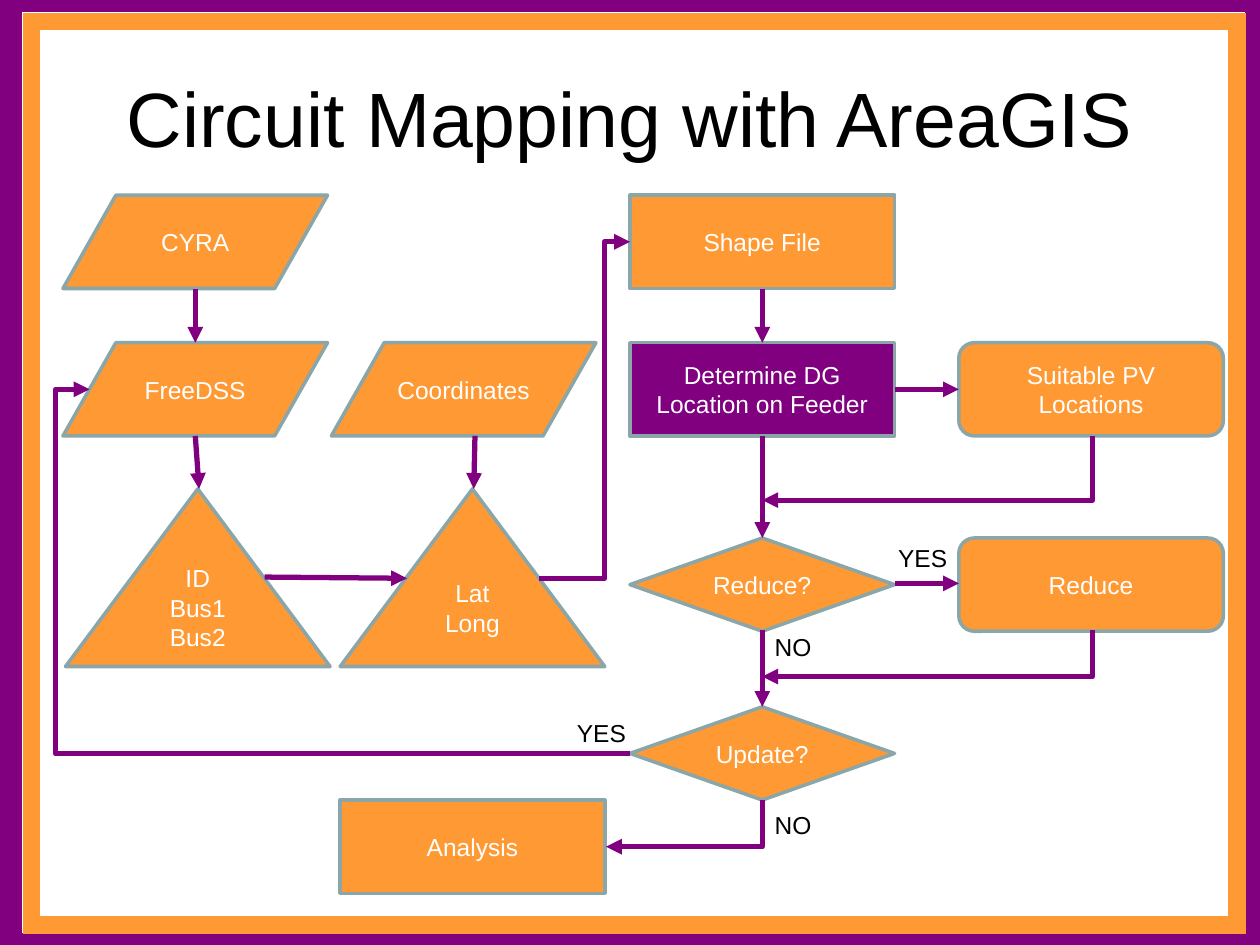
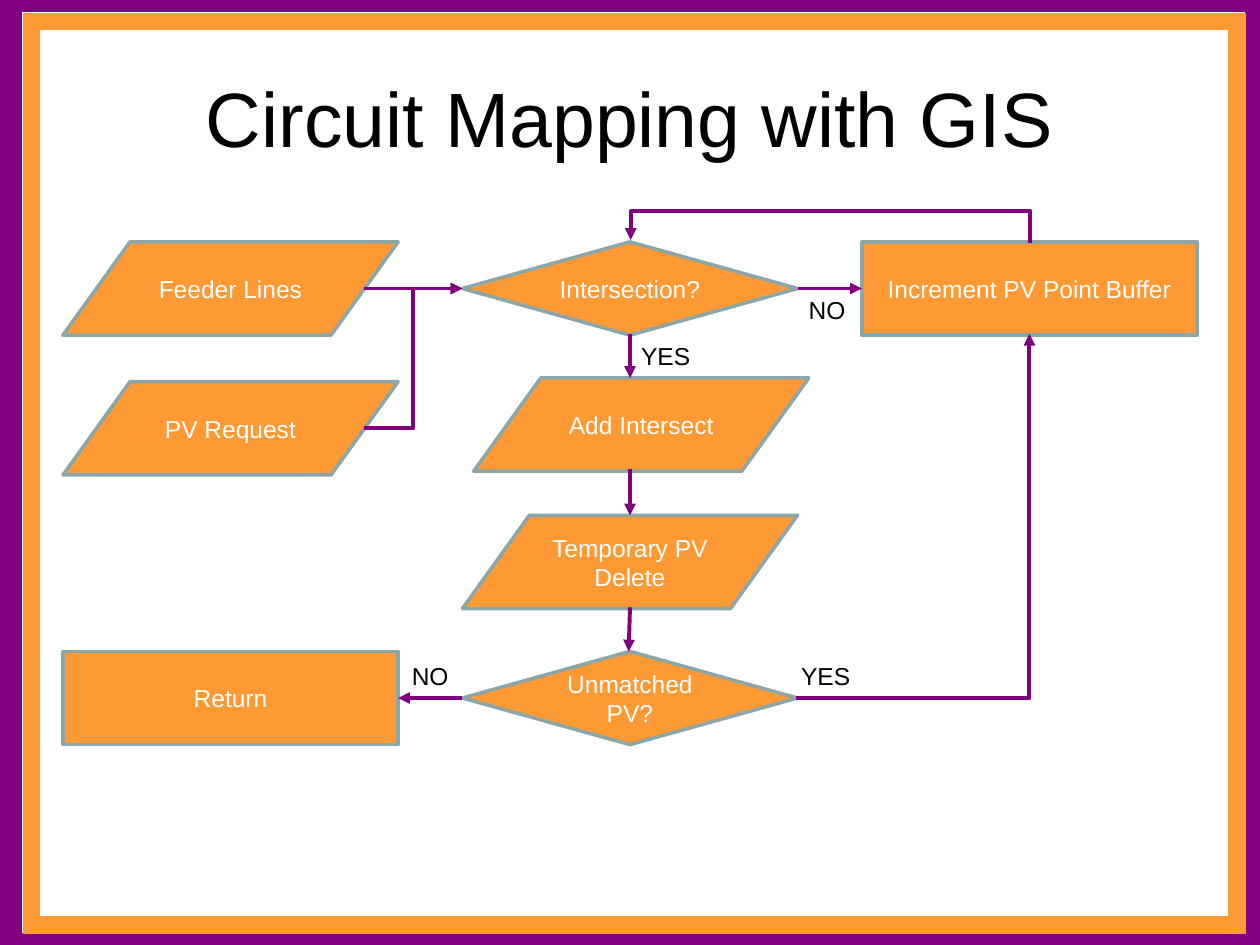
from lxml import etree
from pptx import Presentation
from pptx.dml.color import RGBColor
from pptx.enum import shapes as shp, text as txt
from pptx.oxml.ns import qn
from pptx.util import Inches, Pt

PURPLE = RGBColor(0x80, 0x00, 0x80)
ORANGE = RGBColor(0xFF, 0x99, 0x33)
GREY_GREEN = RGBColor(0x8A, 0xA6, 0xA8)
WHITE = RGBColor(0xFF, 0xFF, 0xFF)
BLACK = RGBColor(0x00, 0x00, 0x00)
FONT = "Arial"

KIND = shp.MSO_SHAPE
DATA = KIND.FLOWCHART_DATA
EXTRACT = KIND.FLOWCHART_EXTRACT
PROCESS = KIND.FLOWCHART_PROCESS
DECISION = KIND.FLOWCHART_DECISION
ALTERNATE = KIND.FLOWCHART_ALTERNATE_PROCESS

STEP_HEIGHT = 0.74
FRAMES = [((0.08, 0, 9.9, 7.5), PURPLE, 14), ((0.25, 0.17, 9.57, 7.17), ORANGE, 10)]

# Steps: kind, left, top, text.  Labels: left, top, text.
# Arrows: start, end, route. A route is None (straight), "HV" or "VH" (one corner),
# or the x of the upright part between two corners.
FLOWCHARTS = [
    dict(
        title="Circuit Mapping with AreaGIS", step_width=2.1, arrow_width=3,
        steps=[
            (DATA, 0.5, 1.55, "CYRA"),
            (DATA, 0.5, 2.72, "FreeDSS"),
            (DATA, 2.63, 2.72, "Coordinates"),
            (EXTRACT, 0.52, 3.88, "ID\nBus1\nBus2"),
            (EXTRACT, 2.7, 3.88, "Lat\nLong"),
            (PROCESS, 5, 1.55, "Shape File"),
            (PROCESS, 5, 2.72, "Determine DG Location on Feeder"),
            (DECISION, 5, 4.27, "Reduce?"),
            (DECISION, 5, 5.61, "Update?"),
            (ALTERNATE, 7.61, 2.72, "Suitable PV Locations"),
            (ALTERNATE, 7.61, 4.27, "Reduce"),
            (PROCESS, 2.7, 6.35, "Analysis"),
        ],
        arrows=[
            ((1.55, 2.29), (1.55, 2.72), None),
            ((1.55, 3.46), (1.58, 3.88), None),
            ((2.1, 4.58), (3.23, 4.59), None),
            ((3.77, 3.46), (3.76, 3.88), None),
            ((4.28, 4.59), (5, 1.92), 4.8),
            ((6.05, 2.29), (6.05, 2.72), None),
            ((6.05, 3.46), (6.05, 4.27), None),
            ((6.05, 5), (6.05, 5.61), None),
            ((6.05, 6.35), (4.81, 6.72), "VH"),
            ((7.1, 3.09), (7.61, 3.09), None),
            ((7.1, 4.63), (7.61, 4.63), None),
            ((8.67, 3.46), (6.05, 3.97), "VH"),
            ((8.67, 5), (6.05, 5.37), "VH"),
            ((5, 5.98), (0.71, 3.09), 0.44),
        ],
        labels=[(7.03, 4.26, "YES"), (4.48, 5.65, "YES"),
                (6.05, 4.97, "NO"), (6.05, 6.38, "NO")],
    ),
    dict(
        title="Circuit Mapping with GIS", step_width=2.66, arrow_width=2.25,
        steps=[
            (DATA, 0.5, 1.92, "Feeder Lines"),
            (DATA, 0.5, 3.03, "PV Request"),
            (DECISION, 3.67, 1.92, "Intersection?"),
            (PROCESS, 0.5, 5.17, "Return"),
            (DATA, 3.76, 3, "Add Intersect"),
            (DATA, 3.67, 4.09, "Temporary PV Delete"),
            (DECISION, 3.67, 5.17, "Unmatched PV?"),
            (PROCESS, 6.84, 1.92, "Increment PV Point Buffer"),
        ],
        arrows=[
            ((5, 2.65), (5, 3), None),
            ((5, 3.72), (5, 4.09), None),
            ((5, 4.82), (4.99, 5.17), None),
            ((6.32, 5.54), (8.17, 2.65), "HV"),
            ((6.33, 2.29), (6.84, 2.29), None),
            ((2.89, 3.4), (3.67, 2.29), 3.28),
            ((2.89, 2.29), (3.67, 2.29), None),
            ((3.67, 5.54), (3.16, 5.54), None),
        ],
        labels=[(4.99, 2.66, "YES"), (6.32, 2.29, "NO"),
                (3.17, 5.2, "NO"), (6.26, 5.2, "YES")],
    ),
]


def write(shape, content, size, color, align=txt.PP_ALIGN.CENTER, anchor=txt.MSO_ANCHOR.MIDDLE):
    frame = shape.text_frame
    frame.word_wrap = True
    frame.vertical_anchor = anchor
    for i, line in enumerate(content.split("\n")):
        paragraph = frame.add_paragraph() if i else frame.paragraphs[0]
        paragraph.alignment = align
        run = paragraph.add_run()
        run.text = line
        run.font.name, run.font.size, run.font.color.rgb = FONT, Pt(size), color


def add_arrow(slide, start, end, route, width):
    """Draw an arrow; one that leaves upright is drawn backwards with its head at the start."""
    tip = "tailEnd"
    if route == "VH":
        start, end, tip = end, start, "headEnd"
    style = shp.MSO_CONNECTOR.ELBOW if route else shp.MSO_CONNECTOR.STRAIGHT
    arrow = slide.shapes.add_connector(style, *map(Inches, start + end))
    arrow.line.color.rgb = PURPLE
    arrow.line.width = Pt(width)
    properties = arrow._element.spPr
    geometry = properties.find(qn("a:prstGeom"))
    if route in ("HV", "VH"):
        geometry.set("prst", "bentConnector2")
    elif route:
        share = (route - start[0]) / (end[0] - start[0])
        etree.SubElement(geometry.find(qn("a:avLst")), qn("a:gd"),
                         name="adj1", fmla=f"val {round(share * 100000)}")
    etree.SubElement(properties.find(qn("a:ln")), qn("a:" + tip), type="triangle")
    etree.SubElement(properties, qn("a:effectLst"))
    return arrow


deck = Presentation()
deck.slide_width, deck.slide_height = Inches(10), Inches(7.5)

for chart in FLOWCHARTS:
    slide = deck.slides.add_slide(deck.slide_layouts[6])
    for box, color, width in FRAMES:
        border = slide.shapes.add_shape(KIND.RECTANGLE, *map(Inches, box))
        border.shadow.inherit = False
        border.fill.background()
        border.line.color.rgb = color
        border.line.width = Pt(width)
        etree.SubElement(border._element.spPr.find(qn("a:ln")), qn("a:miter"), lim="800000")

    title = slide.shapes.add_textbox(Inches(0.5), Inches(0.3), Inches(9), Inches(1.25))
    write(title, chart["title"], 44, BLACK)

    for kind, left, top, content in chart["steps"]:
        height = 1.41 if kind == EXTRACT else STEP_HEIGHT
        step = slide.shapes.add_shape(kind, Inches(left), Inches(top),
                                      Inches(chart["step_width"]), Inches(height))
        step.shadow.inherit = False
        step.fill.solid()
        step.fill.fore_color.rgb = PURPLE if content.startswith("Determine") else ORANGE
        step.line.color.rgb = GREY_GREEN
        step.line.width = Pt(2)
        write(step, content, 14, WHITE)
        if kind == EXTRACT:
            step.text_frame.margin_bottom = Inches(0.28)

    for start, end, route in chart["arrows"]:
        add_arrow(slide, start, end, route, chart["arrow_width"])

    for left, top, answer in chart["labels"]:
        label = slide.shapes.add_textbox(Inches(left), Inches(top), Inches(0.66), Inches(0.34))
        write(label, answer, 14, BLACK, txt.PP_ALIGN.LEFT, txt.MSO_ANCHOR.TOP)

# The way back to "Intersection?" rises first: an elbow given a quarter turn.
way_back = add_arrow(slide, (6.58, 3.5), (6.6, 0.33), 6.83, chart["arrow_width"])
way_back._element.spPr.find(qn("a:xfrm")).set("rot", str(270 * 60000))

deck.save("out.pptx")
